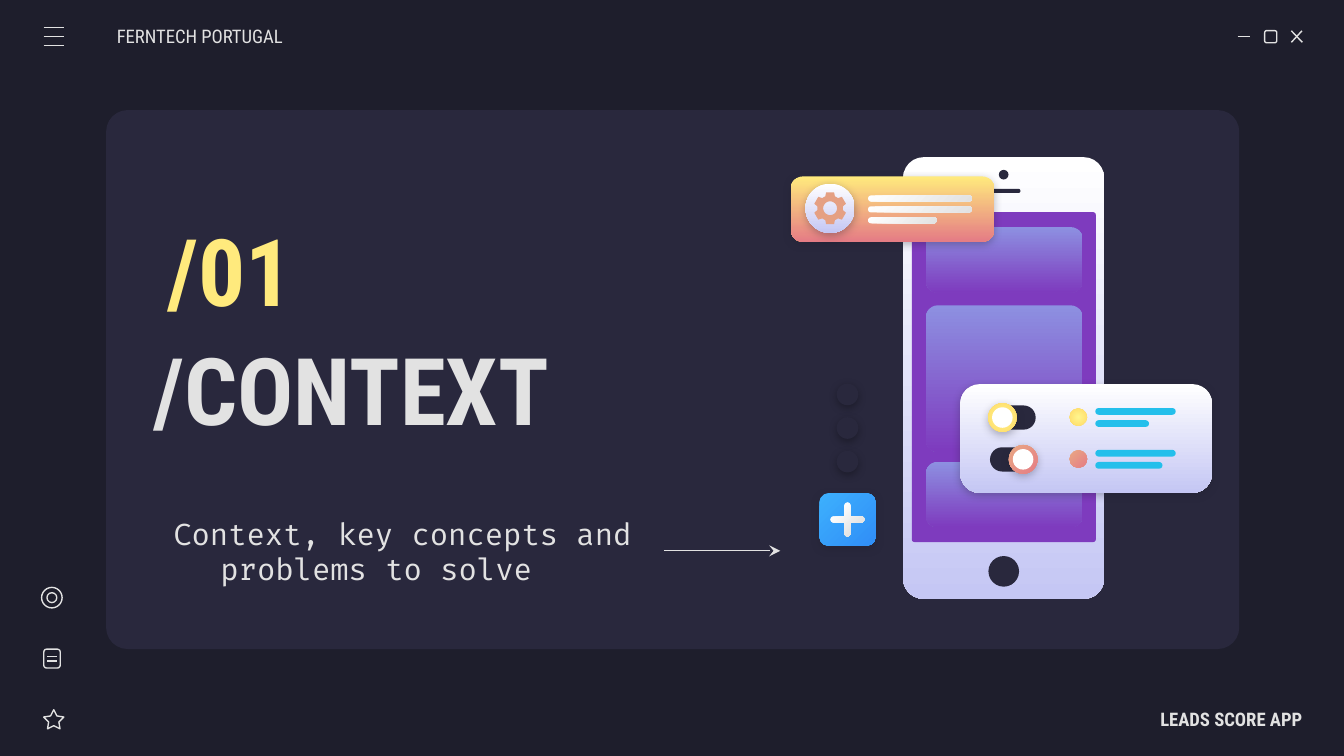
from dataclasses import dataclass
from math import cos, radians, sin

from lxml import etree
from pptx import Presentation
from pptx.dml.color import RGBColor
from pptx.enum.shapes import MSO_CONNECTOR, MSO_SHAPE
from pptx.enum.text import MSO_ANCHOR, PP_ALIGN
from pptx.oxml.ns import qn
from pptx.util import Pt

ROUNDED, OVAL, STAR = MSO_SHAPE.ROUNDED_RECTANGLE, MSO_SHAPE.OVAL, MSO_SHAPE.STAR_5_POINT
STRAIGHT = MSO_CONNECTOR.STRAIGHT
MIDDLE = MSO_ANCHOR.MIDDLE
LEFT, RIGHT = PP_ALIGN.LEFT, PP_ALIGN.RIGHT


@dataclass(frozen=True)
class Theme:
    background: str = "1E1E2C"
    panel: str = "29283D"
    light: str = "E2E2E2"
    white: str = "FFFFFF"
    yellow: str = "FFEA7D"
    purple: str = "7E3BBE"
    cyan: str = "24BFEB"
    gear: str = "E5A083"
    # Gradients: first colour, last colour, clockwise angle (None is radial)
    silver: tuple = ("FFFFFF", "C5C7F4", 90)
    card: tuple = ("8D90E1", "7E3BBE", 90)
    sunset: tuple = ("FFEA7D", "E57C85", 90)
    coral: tuple = ("E9A984", "E57C85", 45)
    gold: tuple = ("FFF68E", "FFD966", None)
    sky: tuple = ("3DB0FD", "308EF7", 45)
    pearl: tuple = ("FFFFFF", "E2E2E2", 45)
    heading_font: str = "Roboto Condensed"
    body_font: str = "Fira Code"
    title_size: int = 50
    body_size: int = 16
    label_size: int = 10
    line_width: float = 0.75


THEME = Theme()


def paint(shape, fill):
    if fill is None:
        shape.fill.background()
    elif isinstance(fill, str):
        shape.fill.solid()
        shape.fill.fore_color.rgb = RGBColor.from_string(fill)
    else:
        first, last, angle = fill
        shape.fill.gradient()
        for stop, color, position in zip(shape.fill.gradient_stops, (first, last), (0, 1)):
            stop.color.rgb = RGBColor.from_string(color)
            stop.position = position
        if angle is not None:
            shape.fill.gradient_angle = 360 - angle
        else:
            gradient = shape._element.spPr.find(qn("a:gradFill"))
            gradient.remove(gradient.find(qn("a:lin")))
            circle = etree.SubElement(gradient, qn("a:path"), {"path": "circle"})
            etree.SubElement(circle, qn("a:fillToRect"), {side: "50000" for side in "ltrb"})


def add_shadow(shape, color):
    effects = shape._element.spPr.find(qn("a:effectLst"))
    shadow = etree.SubElement(effects, qn("a:outerShdw"), {
        "blurRad": str(Pt(4.5)), "dist": str(Pt(1.5)), "dir": "5400000",
        "algn": "bl", "rotWithShape": "0"})
    tint = etree.SubElement(shadow, qn("a:srgbClr"), {"val": color})
    etree.SubElement(tint, qn("a:alpha"), {"val": "30000"})


def style(shape, fill, shadow=None):
    """Fill the shape, or outline it when it has no fill."""
    shape.shadow.inherit = False
    paint(shape, fill)
    if fill is None:
        shape.line.color.rgb = RGBColor.from_string(THEME.light)
        shape.line.width = Pt(THEME.line_width)
    else:
        shape.line.fill.background()
    if shadow:
        add_shadow(shape, shadow)


def add_shape(slide, kind, left, top, width, height, fill=None, shadow=None):
    shape = slide.shapes.add_shape(kind, Pt(left), Pt(top), Pt(width), Pt(height))
    style(shape, fill, shadow)
    return shape


def add_box(slide, left, top, width, height, radius, fill=None, shadow=None):
    shape = add_shape(slide, ROUNDED, left, top, width, height, fill, shadow)
    shape.adjustments[0] = radius / min(width, height)


def add_bar(slide, left, top, width, height, fill):
    add_box(slide, left, top, width, height, min(width, height) / 2, fill)


def add_circle(slide, x, y, diameter, fill=None, shadow=None):
    add_shape(slide, OVAL, x - diameter / 2, y - diameter / 2, diameter, diameter, fill, shadow)


def add_line(slide, x1, y1, x2, y2, arrow=False):
    line = slide.shapes.add_connector(STRAIGHT, Pt(x1), Pt(y1), Pt(x2), Pt(y2))
    line.line.color.rgb = RGBColor.from_string(THEME.light)
    line.line.width = Pt(THEME.line_width)
    if arrow:
        etree.SubElement(line.line._get_or_add_ln(), qn("a:tailEnd"), {"type": "stealth"})
    etree.SubElement(line._element.spPr, qn("a:effectLst"))


def add_text(slide, left, top, width, height, text, font, size, color=THEME.light,
             bold=False, align=LEFT, insets=(7.2, 7.2), hanging=None):
    box = slide.shapes.add_textbox(Pt(left), Pt(top), Pt(width), Pt(height))
    frame = box.text_frame
    frame.word_wrap = True
    frame.vertical_anchor = MIDDLE
    frame.margin_left, frame.margin_right = Pt(insets[0]), Pt(insets[1])
    frame.margin_top = frame.margin_bottom = Pt(7.2)
    frame.text = text
    paragraph = frame.paragraphs[0]
    paragraph.alignment = align
    if hanging:
        properties = paragraph._p.get_or_add_pPr()
        properties.set("marL", str(Pt(hanging[0])))
        properties.set("indent", str(Pt(hanging[1])))
    run_font = paragraph.runs[0].font
    run_font.name, run_font.size, run_font.bold = font, Pt(size), bold
    run_font.color.rgb = RGBColor.from_string(color)


def add_gear(slide, x, y):
    def point(angle, radius):
        return Pt(x + radius * sin(radians(angle))), Pt(y - radius * cos(radians(angle)))

    tooth = ((-22, 6.9), (-14, 8.8), (14, 8.8), (22, 6.9))
    outline = [point(turn + offset, radius)
               for turn in range(0, 360, 60) for offset, radius in tooth]
    hole = [point(angle, 3.7) for angle in range(360, 0, -10)]
    builder = slide.shapes.build_freeform(*outline[0])
    builder.add_line_segments(outline[1:])
    builder.move_to(*hole[0])
    builder.add_line_segments(hole[1:])
    style(builder.convert_to_shape(), THEME.gear)


def add_window_frame(slide):
    add_box(slide, 56.9, 59, 607, 288.7, 11.5, THEME.panel)
    # Minimise, maximise, close
    add_line(slide, 663.1, 19.6, 669.6, 19.6)
    add_box(slide, 677.5, 16.4, 6.5, 6.5, 1.1)
    add_line(slide, 691.8, 16.5, 697.7, 22.7)
    add_line(slide, 697.5, 16.5, 691.8, 22.7)
    # Menu
    for row in range(3):
        y = 14.7 + 4.8 * row
        add_line(slide, 23.4, y, 34.2, y)
    # Side icons: star, note, target
    add_shape(slide, STAR, 23.4, 380.2, 10.8, 10.3).adjustments[0] = 0.254
    add_box(slide, 23.5, 347.8, 8.8, 10.1, 1.5)
    for y in (351.6, 354.1):
        add_line(slide, 25.2, y, 30.4, y)
    for diameter in (11, 5.3):
        add_circle(slide, 27.8, 320.2, diameter)


def add_phone(slide):
    center = 537.7
    add_box(slide, 483.8, 84.2, 107.8, 236.6, 11, THEME.silver)
    add_circle(slide, center, 93.6, 5.2, THEME.panel)
    add_bar(slide, center - 9, 101.2, 18, 2.2, THEME.panel)
    add_box(slide, 488.5, 113.6, 98.6, 176.8, 1.5, THEME.purple)
    for top, height in ((121.7, 35.1), (163.6, 78.5), (247.4, 35.1)):
        add_box(slide, 496, top, 84, height, 6.4, THEME.card)
    add_circle(slide, center, 306.1, 16.4, THEME.panel)


def add_notification(slide):
    add_box(slide, 423.6, 94.5, 109.1, 35, 6.5, THEME.sunset, THEME.background)
    add_circle(slide, 444.7, 111.6, 26.4, THEME.silver, THEME.background)
    add_gear(slide, 444.7, 111.6)
    for row, width in enumerate((55.7, 55.7, 36.9)):
        add_bar(slide, 465, 104.7 + 5.85 * row, width, 3.3, THEME.pearl)


def add_settings(slide):
    add_box(slide, 514.5, 205.8, 134.8, 58.2, 10.3, THEME.silver, THEME.background)
    rows = ((THEME.gold, 537, 28.8), (THEME.coral, 548.1, 36))
    for row, (accent, knob, short_bar) in enumerate(rows):
        y = 223.7 + 22.4 * row
        add_bar(slide, 530.4, y - 6.5, 24.5, 13, THEME.panel)
        add_circle(slide, knob, y, 15.4, accent, THEME.background)
        add_circle(slide, knob, y, 11, THEME.white)
        add_circle(slide, 577.7, y - 0.2, 9.4, accent)
        add_bar(slide, 586.8, y - 5.1, 43.1, 3.6, THEME.cyan)
        add_bar(slide, 586.8, y + 1.4, short_bar, 3.6, THEME.cyan)


def add_plus_button(slide):
    x, y, length, thickness = 454, 278.3, 18.2, 3.4
    add_box(slide, 438.9, 264.2, 30.3, 28.3, 5.2, THEME.sky, THEME.background)
    for width, height in ((length, thickness), (thickness, length)):
        add_bar(slide, x - width / 2, y - height / 2, width, height, THEME.pearl)
    for row in range(3):
        add_circle(slide, x, 211.3 + 18 * row, 11.6, THEME.panel, "000000")


def add_words(slide):
    heading, label = THEME.heading_font, THEME.label_size
    add_text(slide, 75, 149, 309.6, 118, "/CONTEXT", heading, THEME.title_size, bold=True)
    add_text(slide, 82.8, 110.9, 128.2, 66.2, "/01", heading, THEME.title_size,
             THEME.yellow, bold=True)
    add_text(slide, 75, 267.1, 287.3, 56.2, "Context, key concepts and problems to solve",
             THEME.body_font, THEME.body_size, hanging=(36, -25.2))
    add_text(slide, 613.4, 374.4, 84.2, 21.6, "LEADS SCORE APP", heading, label,
             bold=True, align=RIGHT, insets=(7.2, 0))
    add_text(slide, 62.6, 8.6, 100, 21.6, "FERNTECH PORTUGAL", heading, label,
             insets=(0, 7.2))


def main():
    presentation = Presentation()
    presentation.slide_width, presentation.slide_height = Pt(720), Pt(405)
    slide = presentation.slides.add_slide(presentation.slide_layouts[6])
    slide.background.fill.solid()
    slide.background.fill.fore_color.rgb = RGBColor.from_string(THEME.background)
    add_window_frame(slide)
    add_line(slide, 355.7, 295.1, 418, 295.1, arrow=True)
    add_phone(slide)
    add_notification(slide)
    add_settings(slide)
    add_plus_button(slide)
    add_words(slide)
    presentation.save("out.pptx")


if __name__ == "__main__":
    main()
